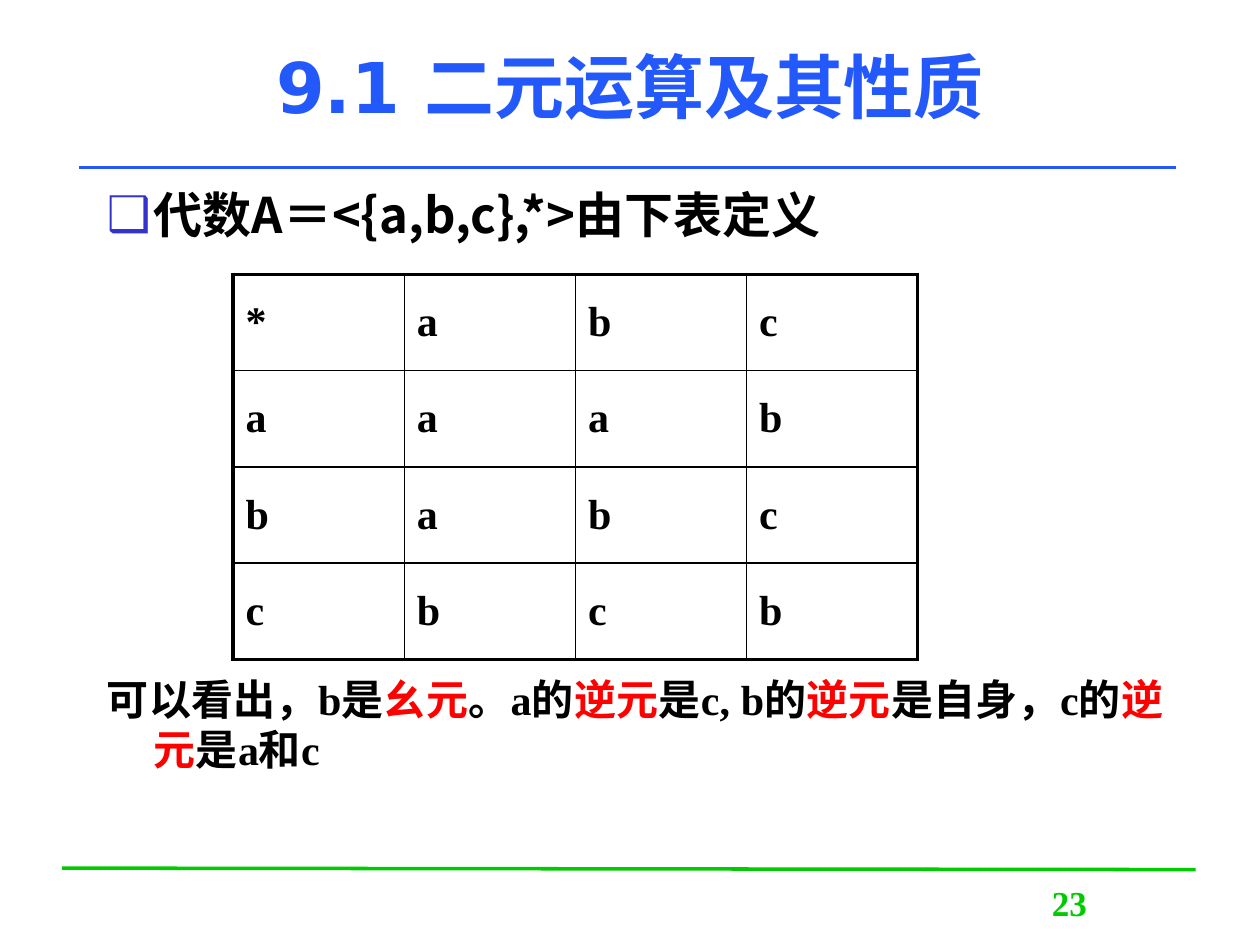
from dataclasses import dataclass

from lxml import etree
from pptx import Presentation
from pptx.dml.color import RGBColor
from pptx.enum.shapes import MSO_CONNECTOR
from pptx.enum.text import MSO_ANCHOR, MSO_AUTO_SIZE, PP_ALIGN
from pptx.oxml.ns import qn
from pptx.util import Cm, Pt

LINE = MSO_CONNECTOR.STRAIGHT
MIDDLE, TOP = MSO_ANCHOR.MIDDLE, MSO_ANCHOR.TOP
CENTER, JUSTIFY, LEFT = PP_ALIGN.CENTER, PP_ALIGN.JUSTIFY, PP_ALIGN.LEFT


@dataclass(frozen=True)
class Theme:
    blue: str = "2359FB"
    green: str = "00CB00"
    bullet: str = "3333CC"
    red: str = "FF0000"
    black: str = "000000"
    sans: str = "DejaVu Sans"
    cjk: str = "Noto Sans CJK SC"
    serif: str = "Times New Roman"
    title: float = 40
    lead: float = 28
    text: float = 24
    number: float = 20
    thick: float = 2.25
    thin: float = 1


T = Theme()

OPERATION = ["*abc", "aaab", "babc", "cbcb"]
CONCLUSION = [
    ("可以看出，b是", T.black), ("幺元", T.red),
    ("。a的", T.black), ("逆元", T.red),
    ("是c, b的", T.black), ("逆元", T.red),
    ("是自身，c的", T.black), ("逆元", T.red),
    ("是a和c", T.black),
]


def add_run(p, text, size, font, color):
    r = p.add_run()
    r.text = text
    r.font.size = Pt(size)
    r.font.bold = True
    r.font.color.rgb = RGBColor.from_string(color)
    r.font.name = font
    ea = etree.SubElement(r.font._element, qn("a:ea"))
    ea.set("typeface", T.cjk)


def place(sp, left, top, width, height, anchor):
    sp.left, sp.top, sp.width, sp.height = map(Cm, (left, top, width, height))
    tf = sp.text_frame
    tf.word_wrap = True
    tf.auto_size = MSO_AUTO_SIZE.NONE
    tf.vertical_anchor = anchor
    return tf


def add_rule(slide, x1, y1, x2, y2, color):
    ln = slide.shapes.add_connector(LINE, Cm(x1), Cm(y1), Cm(x2), Cm(y2))
    ln.line.color.rgb = RGBColor.from_string(color)
    ln.line.width = Pt(2)
    etree.SubElement(ln._element.spPr, qn("a:effectLst"))


def format_item(p, line_spacing, space_before, bullet=None):
    p.alignment = JUSTIFY
    p.line_spacing = line_spacing
    p.space_before = space_before
    pPr = p._p.get_or_add_pPr()
    pPr.set("marL", str(Cm(0.95)))
    pPr.set("indent", str(Cm(-0.95)))
    if bullet:
        clr = etree.SubElement(pPr, qn("a:buClr"))
        etree.SubElement(clr, qn("a:srgbClr")).set("val", T.bullet)
        etree.SubElement(pPr, qn("a:buChar")).set("char", bullet)
    else:
        etree.SubElement(pPr, qn("a:buNone"))


def set_borders(cell, widths):
    tcPr = cell._tc.get_or_add_tcPr()
    for i, (side, width) in enumerate(widths.items()):
        ln = etree.Element(qn(f"a:ln{side}"), w=str(Pt(width)))
        fill = etree.SubElement(ln, qn("a:solidFill"))
        etree.SubElement(fill, qn("a:srgbClr")).set("val", T.black)
        tcPr.insert(i, ln)


def add_operation_table(slide, rows):
    n = len(rows)
    frame = slide.shapes.add_table(n, n, Cm(4.7), Cm(5.53), Cm(13.8), Cm(7.77))
    table = frame.table
    table.first_row = table.horz_banding = False
    for i, row in enumerate(rows):
        table.columns[i].width = Cm(3.45)
        table.rows[i].height = Cm(1.94)
        for j, text in enumerate(row):
            cell = table.cell(i, j)
            cell.fill.background()
            cell.vertical_anchor = MIDDLE
            p = cell.text_frame.paragraphs[0]
            p.alignment = LEFT
            add_run(p, text, T.text, T.serif, T.black)
            # Thick lines on the outer edge only
            outer = {"L": j == 0, "R": j == n - 1, "T": i == 0, "B": i == n - 1}
            set_borders(cell, {s: T.thick if o else T.thin
                               for s, o in outer.items()})


def main():
    prs = Presentation()
    prs.slide_width, prs.slide_height = Cm(25.4), Cm(19.05)
    slide = prs.slides.add_slide(prs.slide_layouts[1])

    # Rules and page number
    add_rule(slide, 1.25, 17.5, 24.1, 17.53, T.green)
    add_rule(slide, 1.6, 3.38, 23.7, 3.38, T.blue)
    number = slide.shapes.add_textbox(0, 0, 0, 0)
    p = place(number, 19.56, 17.65, 4, 1.27, TOP).paragraphs[0]
    p.alignment = CENTER
    add_run(p, "23", T.number, T.serif, T.green)

    # Title
    tf = place(slide.shapes.title, 1.9, 0.13, 21.6, 3.18, MIDDLE)
    p = tf.paragraphs[0]
    p.alignment = CENTER
    add_run(p, "9.1 二元运算及其性质", T.title, T.sans, T.blue)

    # Definition above the table, conclusion below it
    tf = place(slide.placeholders[1], 1.9, 3.73, 21.8, 13.6, TOP)
    p = tf.paragraphs[0]
    format_item(p, 0.9, Pt(0), "❑")
    add_run(p, "代数A＝<{a,b,c},*>由下表定义", T.lead, T.cjk, T.black)
    p = tf.add_paragraph()
    format_item(p, Pt(28.6), Cm(8.65))
    for text, color in CONCLUSION:
        add_run(p, text, T.text, T.serif, color)

    # Operation table
    add_operation_table(slide, OPERATION)

    prs.save("out.pptx")


if __name__ == "__main__":
    main()
